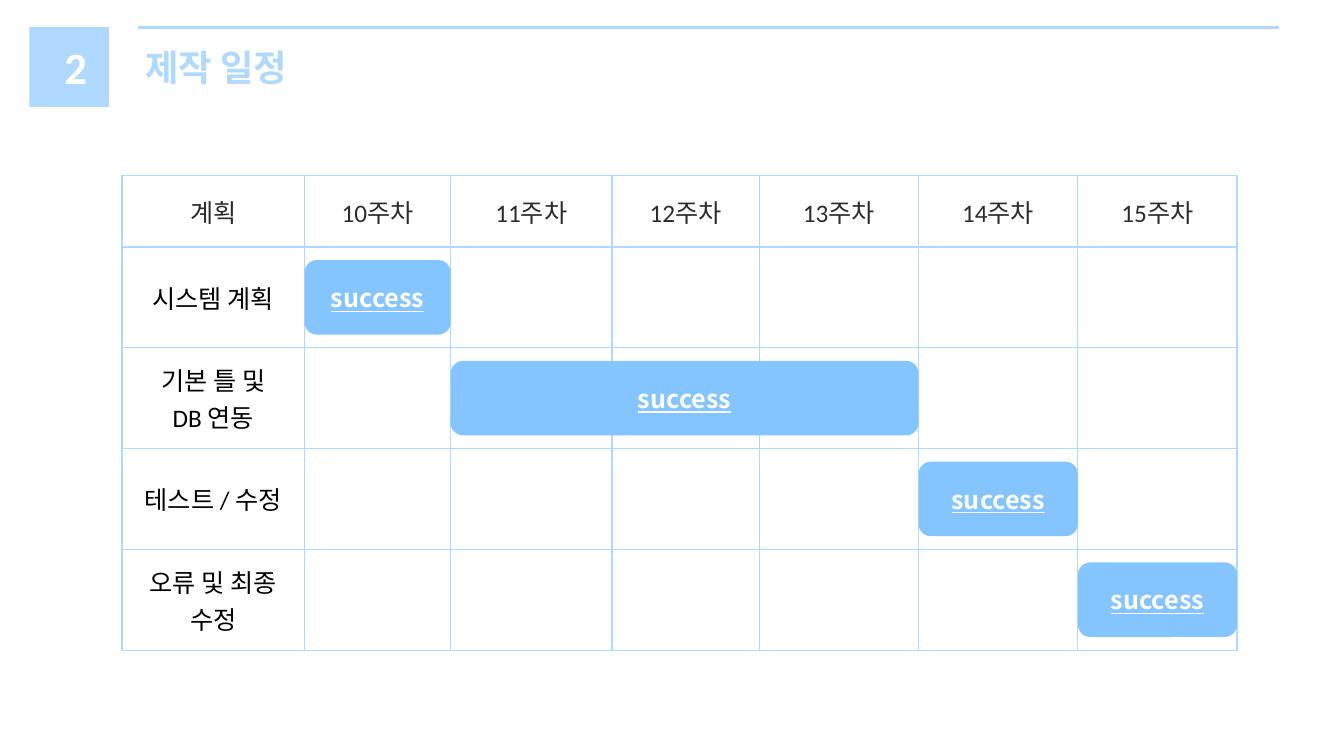
from itertools import accumulate

from lxml import etree
from pptx import Presentation
from pptx.dml.color import RGBColor
from pptx.enum.shapes import MSO_CONNECTOR, MSO_SHAPE
from pptx.enum.text import MSO_ANCHOR, PP_ALIGN
from pptx.oxml.ns import qn
from pptx.util import Inches, Pt

RECTANGLE, ROUNDED = MSO_SHAPE.RECTANGLE, MSO_SHAPE.ROUNDED_RECTANGLE
STRAIGHT = MSO_CONNECTOR.STRAIGHT
LEFT, CENTER = PP_ALIGN.LEFT, PP_ALIGN.CENTER
MIDDLE, TOP = MSO_ANCHOR.MIDDLE, MSO_ANCHOR.TOP

PALE_BLUE = RGBColor(0xAF, 0xD9, 0xFF)
BAR_BLUE = RGBColor(0x84, 0xC5, 0xFF)
WHITE = RGBColor(0xFF, 0xFF, 0xFF)
BLACK = RGBColor(0, 0, 0)
DARK_GREY = RGBColor(0x2C, 0x2C, 0x2C)

LATIN_FONT = "Calibri"
KOREAN_FONT = "Noto Sans CJK KR"

# Schedule grid, in inches
GRID_LEFT, GRID_TOP = 1.21, 1.74
COLUMN_WIDTHS = [1.81, 1.45, 1.6, 1.46, 1.58, 1.58, 1.58]
ROW_HEIGHTS = [0.71, 1, 1, 1, 1]
COLUMN_EDGES = list(accumulate(COLUMN_WIDTHS, initial=GRID_LEFT))
ROW_EDGES = list(accumulate(ROW_HEIGHTS, initial=GRID_TOP))
BAR_HEIGHT = 0.74

HEADINGS = ["계획"] + [f"{week}주차" for week in range(10, 16)]
# Task, first column and last column of its bar
TASKS = [
    ("시스템 계획", 1, 1),
    ("기본 틀 및\nDB 연동", 2, 4),
    ("테스트 / 수정", 5, 5),
    ("오류 및 최종 수정", 6, 6),
]


def write(frame, text, size, color, font=KOREAN_FONT, bold=False,
          underline=False, align=CENTER, anchor=MIDDLE):
    frame.text = text
    frame.word_wrap = True
    frame.vertical_anchor = anchor
    for paragraph in frame.paragraphs:
        paragraph.alignment = align
        for run in paragraph.runs:
            run.font.name = font
            run.font.size = Pt(size)
            run.font.bold = bold
            run.font.underline = underline
            run.font.color.rgb = color
            east_asian = etree.Element(qn("a:ea"), typeface=KOREAN_FONT)
            run.font._element.find(qn("a:latin")).addnext(east_asian)


def add_block(slide, preset, left, top, width, height, color):
    block = slide.shapes.add_shape(
        preset, Inches(left), Inches(top), Inches(width), Inches(height))
    block.shadow.inherit = False
    block.fill.solid()
    block.fill.fore_color.rgb = color
    block.line.fill.background()
    return block


def add_heading(slide, number, text):
    title = slide.shapes.title
    title.left, title.top = Inches(1.34), Inches(0.39)
    title.width, title.height = Inches(4.45), Inches(0.54)
    write(title.text_frame, text, 26, PALE_BLUE, bold=True, align=LEFT)

    rule = slide.shapes.add_connector(
        STRAIGHT, Inches(12.69), Inches(0.27), Inches(1.37), Inches(0.27))
    rule.line.color.rgb = PALE_BLUE
    rule.line.width = Pt(2.25)
    etree.SubElement(rule._element.spPr, qn("a:effectLst"))

    add_block(slide, RECTANGLE, 0.29, 0.27, 0.79, 0.79, PALE_BLUE)
    section = slide.shapes.add_textbox(
        Inches(0.54), Inches(0.34), Inches(0.28), Inches(0.64))
    write(section.text_frame, number, 32, WHITE, LATIN_FONT, bold=True,
          anchor=TOP)


def set_borders(cell, **widths):
    properties = cell._tc.get_or_add_tcPr()
    for position, side in enumerate("LRTB"):
        border = etree.Element(qn(f"a:ln{side}"),
                               w=str(Pt(widths.get(side, 1))))
        fill = etree.SubElement(border, qn("a:solidFill"))
        etree.SubElement(fill, qn("a:srgbClr"), val=str(PALE_BLUE))
        properties.insert(position, border)


def add_schedule(slide):
    schedule = slide.shapes.add_table(
        len(ROW_HEIGHTS), len(COLUMN_WIDTHS), Inches(GRID_LEFT),
        Inches(GRID_TOP), Inches(sum(COLUMN_WIDTHS)),
        Inches(sum(ROW_HEIGHTS))).table
    schedule.first_row = schedule.horz_banding = False
    for column, width in zip(schedule.columns, COLUMN_WIDTHS):
        column.width = Inches(width)
    for row, height in zip(schedule.rows, ROW_HEIGHTS):
        row.height = Inches(height)

    # A thicker line separates the headings from the tasks
    for index, row in enumerate(schedule.rows):
        divider = {0: {"B": 2}, 1: {"T": 2}}.get(index, {})
        for cell in row.cells:
            cell.fill.background()
            set_borders(cell, **divider)
            cell.vertical_anchor = MIDDLE

    for column, heading in enumerate(HEADINGS):
        write_cell(schedule.cell(0, column), heading, DARK_GREY)
    for row, (task, _, _) in enumerate(TASKS, 1):
        write_cell(schedule.cell(row, 0), task, BLACK)


def write_cell(cell, text, color):
    write(cell.text_frame, text, 18, color, LATIN_FONT)
    cell.vertical_anchor = MIDDLE
    # Anchoring and wrapping of a cell belong to the cell itself
    body = cell.text_frame._txBody.bodyPr
    body.attrib.clear()


def add_bar(slide, row, first, last):
    left = COLUMN_EDGES[first]
    top = ROW_EDGES[row] + (ROW_HEIGHTS[row] - BAR_HEIGHT) / 2
    bar = add_block(slide, ROUNDED, left, top,
                    COLUMN_EDGES[last + 1] - left, BAR_HEIGHT, BAR_BLUE)
    write(bar.text_frame, "success", 18, WHITE, bold=True, underline=True)


def main():
    deck = Presentation()
    deck.slide_width, deck.slide_height = Inches(13.33), Inches(7.5)
    slide = deck.slides.add_slide(deck.slide_layouts[5])

    add_heading(slide, "2", "제작 일정")
    add_schedule(slide)
    for row, (_, first, last) in enumerate(TASKS, 1):
        add_bar(slide, row, first, last)

    deck.save("out.pptx")


if __name__ == "__main__":
    main()
